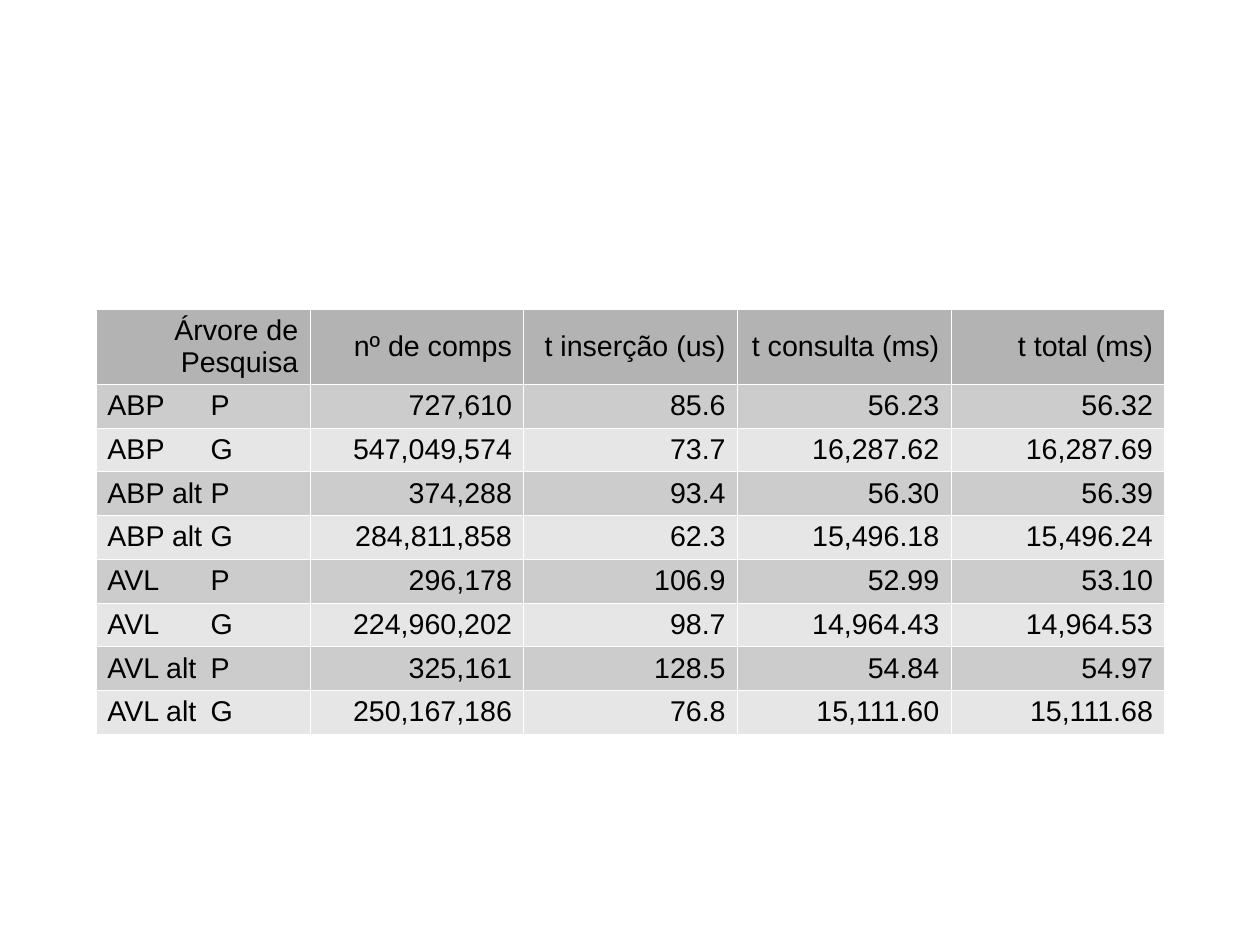
import lxml.etree
import pptx
import pptx.dml.color
import pptx.enum.text
import pptx.oxml.ns
import pptx.util

Pt = pptx.util.Pt
Align = pptx.enum.text.PP_ALIGN
Anchor = pptx.enum.text.MSO_ANCHOR
qn = pptx.oxml.ns.qn

COLORS = {"text": "000000", "header": "B3B3B3", "odd": "CCCCCC",
          "even": "E6E6E6", "grid": "FFFFFF"}
FONT = "Arial"
FONT_SIZE = 18
HEADER_HEIGHT = 47.4
SIZE_TAB = 65  # where the P or G of each tree starts

HEADINGS = ["Árvore de Pesquisa", "nº de comps", "t inserção (us)",
            "t consulta (ms)", "t total (ms)"]
RESULTS = [
    ["ABP\tP", "727,610", "85.6", "56.23", "56.32"],
    ["ABP\tG", "547,049,574", "73.7", "16,287.62", "16,287.69"],
    ["ABP alt\tP", "374,288", "93.4", "56.30", "56.39"],
    ["ABP alt\tG", "284,811,858", "62.3", "15,496.18", "15,496.24"],
    ["AVL\tP", "296,178", "106.9", "52.99", "53.10"],
    ["AVL\tG", "224,960,202", "98.7", "14,964.43", "14,964.53"],
    ["AVL alt\tP", "325,161", "128.5", "54.84", "54.97"],
    ["AVL alt\tG", "250,167,186", "76.8", "15,111.60", "15,111.68"],
]


def rgb(name):
    return pptx.dml.color.RGBColor.from_string(COLORS[name])


def add_grid_lines(cell):
    # Borders go ahead of the fill in the cell properties
    properties = cell._tc.get_or_add_tcPr()
    for index, side in enumerate(("a:lnL", "a:lnR", "a:lnT", "a:lnB")):
        border = lxml.etree.Element(qn(side), w=str(Pt(0.06)))
        fill = lxml.etree.SubElement(border, qn("a:solidFill"))
        lxml.etree.SubElement(fill, qn("a:srgbClr"), val=COLORS["grid"])
        properties.insert(index, border)


def add_tab_stop(paragraph, position):
    tabs = lxml.etree.SubElement(paragraph._p.get_or_add_pPr(), qn("a:tabLst"))
    lxml.etree.SubElement(tabs, qn("a:tab"), pos=str(Pt(position)), algn="l")


def fill_cell(cell, content, fill, align, anchor):
    cell.text_frame.text = content
    cell.vertical_anchor = anchor
    cell.margin_left = cell.margin_right = Pt(7.2)
    cell.margin_top = cell.margin_bottom = Pt(3.6)
    cell.fill.solid()
    cell.fill.fore_color.rgb = rgb(fill)
    add_grid_lines(cell)
    paragraph = cell.text_frame.paragraphs[0]
    paragraph.alignment = align
    for run in paragraph.runs:
        run.font.name = FONT
        run.font.size = Pt(FONT_SIZE)
        run.font.bold = False
        run.font.color.rgb = rgb("text")
    if "\t" in content:
        add_tab_stop(paragraph, SIZE_TAB)


def add_results_table(slide, left, top, width, height):
    results = slide.shapes.add_table(
        len(RESULTS) + 1, len(HEADINGS),
        Pt(left), Pt(top), Pt(width), Pt(height)).table

    # Equal columns, and equal rows below the header
    for column in results.columns:
        column.width = Pt(width / len(HEADINGS))
    for row in results.rows:
        row.height = Pt((height - HEADER_HEIGHT) / len(RESULTS))
    results.rows[0].height = Pt(HEADER_HEIGHT)

    # Header
    for column, heading in enumerate(HEADINGS):
        fill_cell(results.cell(0, column), heading, "header",
                  Align.RIGHT, Anchor.MIDDLE)

    # Measurements in alternating shades
    for row, measures in enumerate(RESULTS, start=1):
        shade = "odd" if row % 2 else "even"
        for column, measure in enumerate(measures):
            align = Align.RIGHT if column else Align.LEFT
            fill_cell(results.cell(row, column), measure, shade,
                      align, Anchor.TOP)


def main():
    deck = pptx.Presentation()
    # 28 by 21 centimetres
    deck.slide_width = Pt(793.7)
    deck.slide_height = Pt(595.28)
    slide = deck.slides.add_slide(deck.slide_layouts[6])
    add_results_table(slide, left=60.5, top=194.4, width=673, height=267.9)
    deck.save("out.pptx")


if __name__ == "__main__":
    main()
